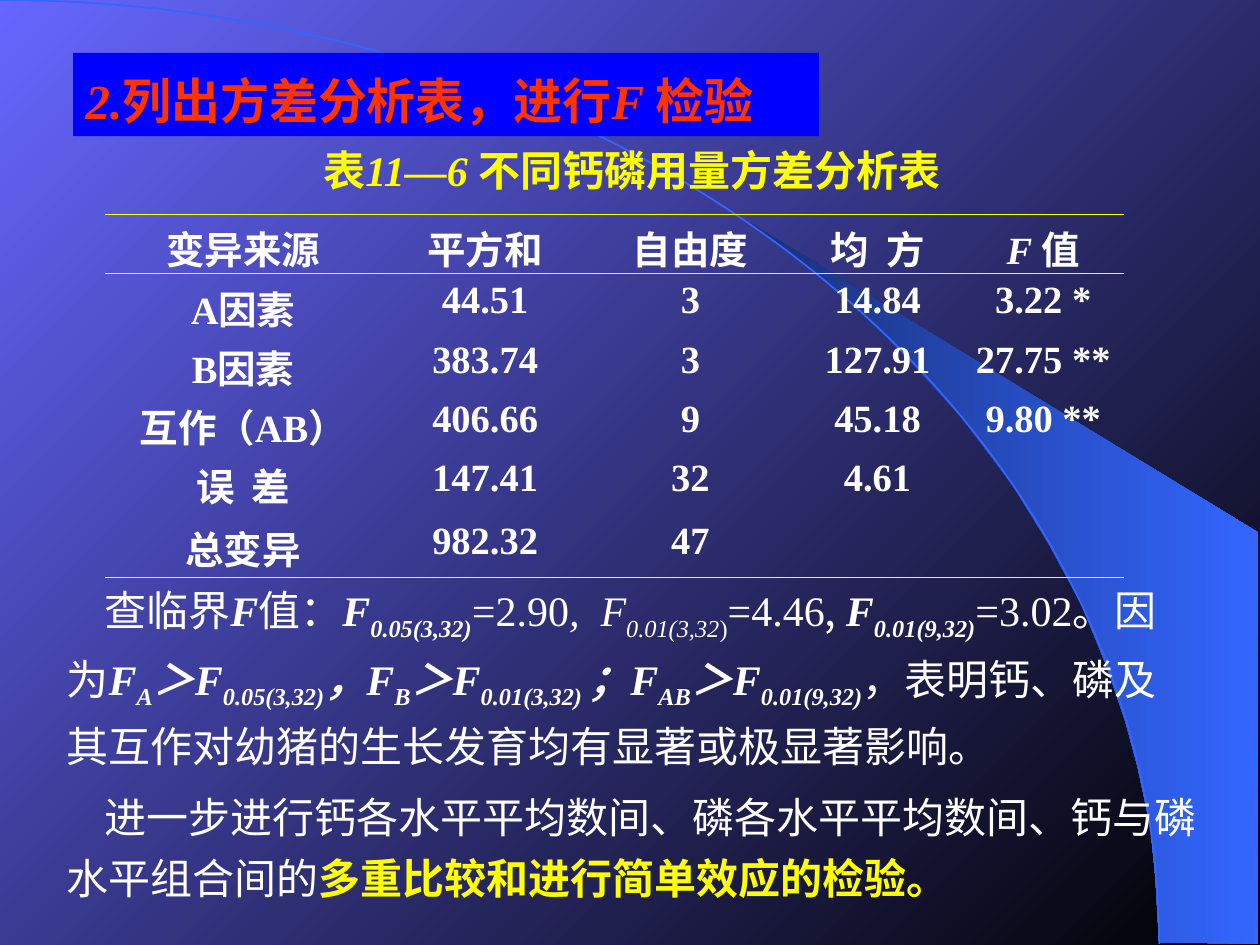
from math import cos, pi, sin

from lxml.etree import SubElement
from pptx import Presentation
from pptx.dml.color import RGBColor
from pptx.enum.text import MSO_ANCHOR, MSO_AUTO_SIZE, PP_ALIGN
from pptx.oxml.ns import qn
from pptx.util import Inches, Pt

THEME = {
    "white": "FFFFFF", "yellow": "FFFF00", "red": "FF3300", "banner": "0000FF",
    "sky": ("6666FF", "000000"), "wedge": ("182F76", "3366FF"), "arc": "3366FF",
    "title": 28, "body": 24, "table": 22,
    "latin": "Times New Roman", "chinese": "Noto Sans CJK SC",
}

STYLES = {
    "text": {"name": THEME["chinese"], "bold": False, "italic": False},
    "strong": {"name": THEME["chinese"], "bold": True, "italic": False},
    "number": {"name": THEME["latin"], "bold": False, "italic": False},
    "slant": {"name": THEME["latin"], "bold": False, "italic": True},
    "symbol": {"name": THEME["latin"], "bold": True, "italic": True},
    "cell": {"name": THEME["latin"], "bold": True, "italic": False},
}

TITLE = [("symbol", "2."), ("strong", "列出方差分析表，进行"), ("symbol", "F "), ("strong", "检验")]
CAPTION = [("strong", "表"), ("symbol", "11—6 "), ("strong", "不同钙磷用量方差分析表")]
CRITICAL = [
    ("text", "查临界"), ("symbol", "F"), ("text", "值："),
    ("symbol", "F"), ("symbol_sub", "0.05(3,32)"), ("number", "=2.90"),
    ("slant", ",  F"), ("slant_sub", "0.01(3,32"), ("number_sub", ")"),
    ("number", "=4.46"), ("text", ", "),
    ("symbol", "F"), ("symbol_sub", "0.01(9,32)"), ("number", "=3.02"),
    ("text", "。因为"), ("symbol", "F"), ("symbol_sub", "A"),
    ("symbol", "＞F"), ("symbol_sub", "0.05(3,32)"),
    ("symbol", "，F"), ("symbol_sub", "B"),
    ("symbol", "＞F"), ("symbol_sub", "0.01(3,32) "),
    ("symbol", "；F"), ("symbol_sub", "AB"),
    ("symbol", "＞F"), ("symbol_sub", "0.01(9,32)"),
    ("text", "，表明钙、磷及其互作对幼猪的生长发育均有显著或极显著影响。"),
]
FURTHER = [
    ("text", "进一步进行钙各水平平均数间、磷各水平平均数间、钙与磷水平组合间的"),
    ("strong", "多重比较和进行简单效应的检验。", "yellow"),
]
ANOVA = [
    ("变异来源", "平方和", "自由度", "均  方", "F 值"),
    ("A因素", "44.51", "3", "14.84", "3.22 *"),
    ("B因素", "383.74", "3", "127.91", "27.75 **"),
    ("互作（AB）", "406.66", "9", "45.18", "9.80 **"),
    ("误  差", "147.41", "32", "4.61", ""),
    ("总变异", "982.32", "47", "", ""),
]
COLUMNS = (2.2, 1.64, 1.62, 1.35, 1.28)
ROWS = (0.47, 0.47, 0.47, 0.47, 0.5, 0.5)
RULES = {0: ("a:lnT", "a:lnB"), 1: ("a:lnT",), len(ANOVA) - 1: ("a:lnB",)}

WEDGE = [
    (9.2, 7.48), (9.99, 7.49), (9.99, 4.23), (5.89, 1.73), (6.24, 1.99), (6.53, 2.22),
    (6.85, 2.5), (7.16, 2.8), (7.62, 3.3), (8.03, 3.84), (8.32, 4.31), (8.58, 4.79),
    (8.78, 5.28), (8.93, 5.72), (9.03, 6.09), (9.13, 6.56), (9.17, 6.96),
]
ARC_WIDTH, ARC_HEIGHT, ARC_STEPS = 9.2, 7.49, 90


def color(value):
    return RGBColor.from_string(value)


def shade(fill, stops, angle):
    fill.gradient()
    fill.gradient_angle = angle
    for position, (stop, value) in enumerate(zip(fill.gradient_stops, stops)):
        stop.color.rgb = color(value)
        stop.position = position


def write(para, spans, size, default, **layout):
    for name, value in layout.items():
        setattr(para, name, value)
    for style, text, *tint in spans:
        style, _, lowered = style.partition("_")
        span = para.add_run()
        span.text = text
        for name, value in STYLES[style].items():
            setattr(span.font, name, value)
        span.font.size = Pt(THEME[size])
        span.font.color.rgb = color(THEME[tint[0] if tint else default])
        properties = span._r.get_or_add_rPr()
        SubElement(properties, qn("a:ea"), typeface=THEME["chinese"])
        if lowered:
            properties.set("baseline", "-25000")


def outline(page, points, close):
    corners = [(Inches(x), Inches(y)) for x, y in points]
    builder = page.shapes.build_freeform(*corners[0])
    builder.add_line_segments(corners[1:], close=close)
    shape = builder.convert_to_shape()
    shape.shadow.inherit = False
    return shape


def text_box(page, left, top, width, height):
    box = page.shapes.add_textbox(*map(Inches, (left, top, width, height)))
    box.text_frame.word_wrap = True
    return box.text_frame


def draw_backdrop(page):
    shade(page.background.fill, THEME["sky"], 315)
    wedge = outline(page, WEDGE, True)
    shade(wedge.fill, THEME["wedge"], 0)
    wedge.line.fill.background()
    angles = [step * pi / 2 / ARC_STEPS for step in range(ARC_STEPS + 1)]
    arc = outline(page, [(ARC_WIDTH * sin(a), ARC_HEIGHT * (1 - cos(a))) for a in angles], False)
    arc.fill.background()
    arc.line.color.rgb = color(THEME["arc"])
    arc.line.width = Pt(1)


def draw_title(page):
    title = page.shapes.title
    for name, value in zip(("left", "top", "width", "height"), (0.58, 0.42, 5.92, 0.66)):
        setattr(title, name, Inches(value))
    title.fill.solid()
    title.fill.fore_color.rgb = color(THEME["banner"])
    frame = title.text_frame
    frame.auto_size = MSO_AUTO_SIZE.NONE
    frame.vertical_anchor = MSO_ANCHOR.TOP
    write(frame.paragraphs[0], TITLE, "title", "red", alignment=PP_ALIGN.LEFT, line_spacing=1.2)
    page.shapes._spTree.append(title._element)


def draw_table(page):
    frame = page.shapes.add_table(len(ROWS), len(COLUMNS), Inches(0.83), Inches(1.7),
                                  Inches(sum(COLUMNS)), Inches(sum(ROWS)))
    table = frame.table
    table.first_row = table.horz_banding = False
    for column, width in zip(table.columns, COLUMNS):
        column.width = Inches(width)
    for index, (row, height, values) in enumerate(zip(table.rows, ROWS, ANOVA)):
        row.height = Inches(height)
        for cell, value in zip(row.cells, values):
            spans = [("cell", value)] if value else []
            if value.startswith("F "):
                spans = [("symbol", "F "), ("cell", value[2:])]
            write(cell.text_frame.paragraphs[0], spans, "table", "white", alignment=PP_ALIGN.CENTER)
            properties = cell._tc.get_or_add_tcPr()
            for side in ("a:lnL", "a:lnR", "a:lnT", "a:lnB"):
                ruled = side in RULES.get(index, ())
                line = SubElement(properties, qn(side), w=str(Pt(0.45) if ruled else 0))
                paint = SubElement(line, qn("a:solidFill" if ruled else "a:noFill"))
                if ruled:
                    SubElement(paint, qn("a:srgbClr"), val=THEME["yellow"])
            cell.fill.background()


def draw_text(page):
    caption = text_box(page, 0.43, 1.14, 9.17, 0.5)
    write(caption.paragraphs[0], CAPTION, "body", "yellow", alignment=PP_ALIGN.CENTER, line_spacing=0.9)
    body = text_box(page, 0.43, 4.5, 9.17, 2.69)
    for index, spans in enumerate((CRITICAL, FURTHER)):
        para = body.add_paragraph() if index else body.paragraphs[0]
        write(para, spans, "body", "white", line_spacing=1.2, space_before=Pt(6 * index))
        para._p.get_or_add_pPr().set("indent", str(Inches(0.3)))


def main():
    deck = Presentation()
    deck.slide_width, deck.slide_height = Inches(10), Inches(7.5)
    page = deck.slides.add_slide(deck.slide_layouts[5])
    draw_backdrop(page)
    draw_text(page)
    draw_table(page)
    draw_title(page)
    deck.save("out.pptx")


if __name__ == "__main__":
    main()
